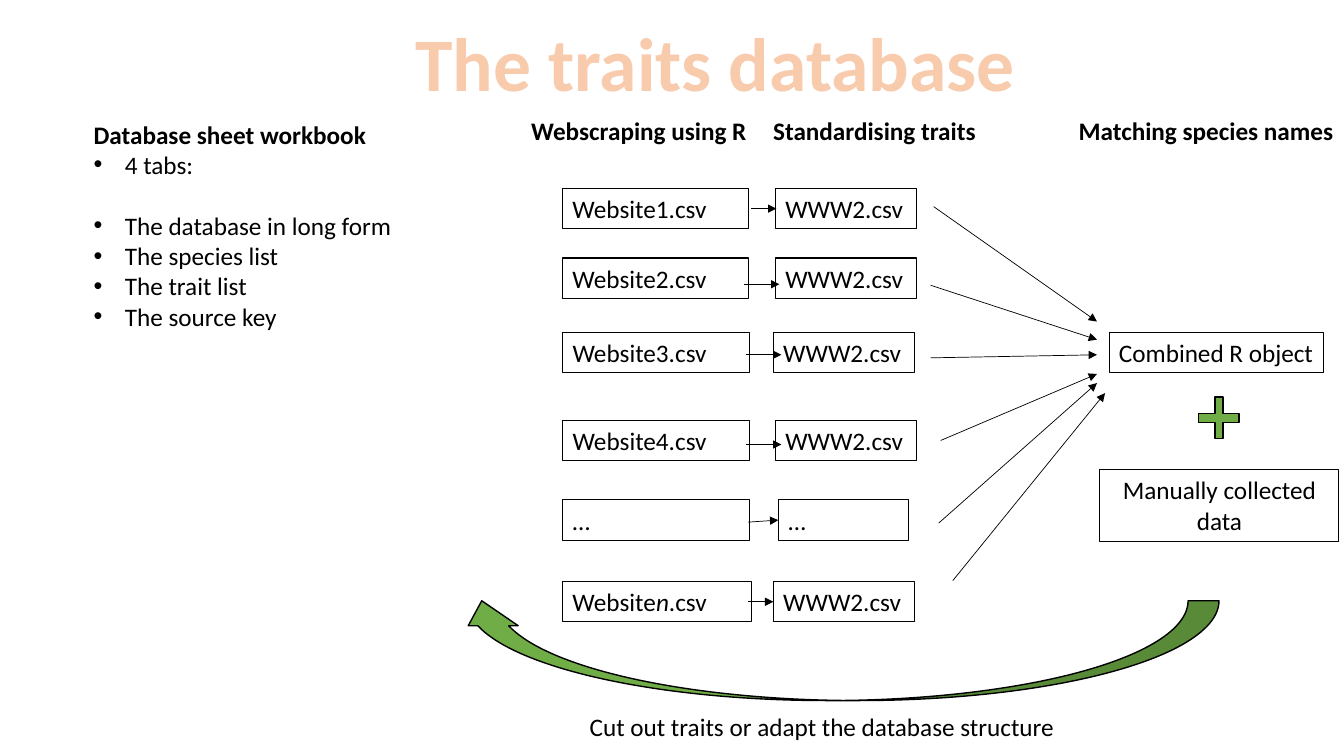
from pptx import Presentation
from pptx.dml.color import RGBColor
from pptx.enum.shapes import MSO_CONNECTOR, MSO_SHAPE
from pptx.enum.text import MSO_ANCHOR, MSO_AUTO_SIZE, PP_ALIGN
from pptx.oxml.ns import qn
from pptx.util import Inches, Pt
from lxml import etree

BLACK = RGBColor(0, 0, 0)
GREEN = RGBColor(0x70, 0xAD, 0x47)
PEACH = RGBColor(0xF8, 0xCB, 0xAD)
LINE = MSO_CONNECTOR.STRAIGHT
RECT = MSO_SHAPE.RECTANGLE
CROSS = MSO_SHAPE.CROSS
CURVE = MSO_SHAPE.CURVED_DOWN_ARROW
TOP = MSO_ANCHOR.TOP
MIDDLE = MSO_ANCHOR.MIDDLE
FIXED = MSO_AUTO_SIZE.NONE
LEFT = PP_ALIGN.LEFT
CENTER = PP_ALIGN.CENTER

BODY = {"name": "Calibri", "size": Pt(18), "bold": False}
HEAD = {**BODY, "bold": True}
TITLE = {**HEAD, "size": Pt(54)}

HEADS = [
    ("Webscraping using R", 5.17, 2.67),
    ("Standardising traits", 7.57, 2.67),
    ("Matching species names", 10.6, 2.73),
]
ROWS = [
    (["Website1.csv"], "WWW2.csv", 1.87, 1.84, 7.69, 1.4),
    (["Website2.csv"], "WWW2.csv", 2.56, 1.84, 7.69, 1.4),
    (["Website3.csv"], "WWW2.csv", 3.3, 1.85, 7.67, 1.4),
    (["Website4.csv"], "WWW2.csv", 4.17, 1.85, 7.69, 1.4),
    (["…"], "…", 4.96, 1.85, 7.72, 1.29),
    (["Website", "n", ".csv"], "WWW2.csv", 5.77, 1.87, 7.67, 1.4),
]
STEPS = [
    (7.45, 2.07, 7.7, 2.07),
    (7.38, 2.82, 7.73, 2.82),
    (7.4, 3.52, 7.75, 3.52),
    (7.4, 4.41, 7.75, 4.41),
    (7.42, 5.18, 7.72, 5.16),
    (7.42, 5.97, 7.67, 5.97),
]
MERGES = [
    (9.26, 2.05, 10.88, 3.19),
    (9.23, 2.83, 10.88, 3.37),
    (9.23, 3.55, 10.88, 3.52),
    (9.33, 4.37, 10.88, 3.71),
    (9.31, 5.19, 10.88, 3.8),
    (9.45, 5.76, 10.96, 3.9),
]


def style(font, look, color=BLACK):
    for key, value in look.items():
        setattr(font, key, value)
    font.color.rgb = color


def write(frame, parts, look=BODY, align=LEFT, wrap=True):
    for key, value in {"word_wrap": wrap, "auto_size": FIXED,
                       "vertical_anchor": TOP}.items():
        setattr(frame, key, value)
    para = frame.paragraphs[0]
    para.alignment = align
    for part in parts:
        run = para.add_run()
        run.text = part
        style(run.font, look)
        if part == "n":
            run.font.italic = True


def label(slide, text, box, look=BODY, wrap=True):
    shape = slide.shapes.add_textbox(*map(Inches, box))
    write(shape.text_frame, [text], look, wrap=wrap)
    return shape


def draw(slide, kind, box, width, fill=None):
    shape = slide.shapes.add_shape(kind, *map(Inches, box))
    shape.shadow.inherit = False
    if fill is None:
        shape.fill.background()
    else:
        shape.fill.solid()
        shape.fill.fore_color.rgb = fill
    shape.line.color.rgb = BLACK
    shape.line.width = Pt(width)
    return shape


def card(slide, parts, box, align=LEFT):
    shape = draw(slide, RECT, box, 0.75)
    write(shape.text_frame, parts, align=align)


def arrow(slide, ends):
    link = slide.shapes.add_connector(LINE, *map(Inches, ends))
    link.line.color.rgb = BLACK
    link.line.width = Pt(0.5)
    tip = etree.SubElement(link.line._get_or_add_ln(), qn("a:tailEnd"))
    tip.set("type", "triangle")
    etree.SubElement(link._element.spPr, qn("a:effectLst"))


def title(slide, box):
    shape = slide.shapes.title
    for key, value in zip(("left", "top", "width", "height"), box):
        setattr(shape, key, Inches(value))
    frame = shape.text_frame
    frame.text = "The traits database"
    for key, value in {"word_wrap": False, "auto_size": FIXED,
                       "vertical_anchor": MIDDLE}.items():
        setattr(frame, key, value)
    para = frame.paragraphs[0]
    para.alignment = CENTER
    style(para.runs[0].font, TITLE, PEACH)


def notes(slide, box):
    frame = label(slide, "Database sheet workbook", box, HEAD).text_frame
    tabs = ["4 tabs:", "The database in long form", "The species list",
            "The trait list", "The source key"]
    for place, text in enumerate(tabs):
        para = frame.add_paragraph()
        para.text = text
        props = para._p.get_or_add_pPr()
        props.set("marL", str(Inches(0.31)))
        props.set("indent", str(-Inches(0.31)))
        font = etree.SubElement(props, qn("a:buFont"))
        font.set("typeface", "Arial")
        mark = etree.SubElement(props, qn("a:buChar"))
        mark.set("char", "•")
        if place == 1:
            para.space_before = Pt(22)
        style(para.runs[0].font, BODY)


def flow(slide, left, top):
    for text, x, width in HEADS:
        label(slide, text, (x, top, width, 0.4), HEAD, wrap=False)
    for site, clean, y, wide, x, width in ROWS:
        card(slide, site, (left, y, wide, 0.4))
        card(slide, [clean], (x, y, width, 0.4))
    for ends in STEPS + MERGES:
        arrow(slide, ends)


def result(slide, left, top):
    card(slide, ["Combined R object"], (left + 0.09, top, 2.13, 0.4))
    plus = draw(slide, CROSS, (left + 0.98, top + 0.64, 0.4, 0.41), 1, GREEN)
    plus.adjustments[0] = 0.4
    card(slide, ["Manually collected data"],
         (left, top + 1.36, 2.37, 0.71), CENTER)


def loop(slide, left, top):
    bend = draw(slide, CURVE, (left, top, 7.56, 0.99), 1, GREEN)
    bend.rotation = 180
    for place, value in enumerate((0.31, 0.5, 0.25)):
        bend.adjustments[place] = value
    label(slide, "Cut out traits or adapt the database structure",
          (left + 1.22, top + 1.05, 5.13, 0.4))


def main():
    deck = Presentation()
    deck.slide_width = Inches(13.33)
    deck.slide_height = Inches(7.5)
    slide = deck.slides.add_slide(deck.slide_layouts[5])
    title(slide, (3.99, 0.1, 6.21, 1.01))
    notes(slide, (0.83, 1.13, 4.06, 3.13))
    flow(slide, 5.58, 1.09)
    result(slide, 10.91, 3.3)
    loop(slide, 4.53, 5.96)
    deck.save("out.pptx")


if __name__ == "__main__":
    main()
